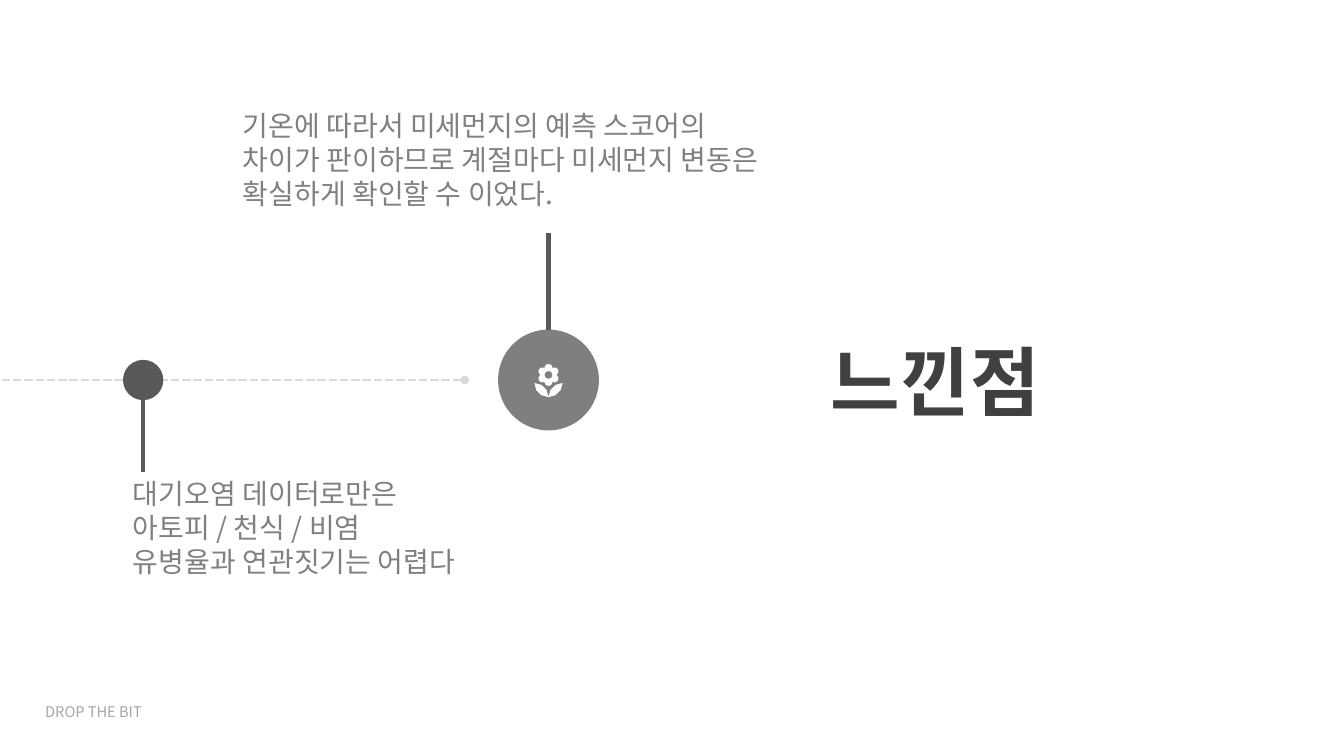
from math import cos, sin, radians
from lxml import etree
from pptx import Presentation
from pptx import util as u
from pptx.dml.color import RGBColor
from pptx.enum import dml, shapes, text
from pptx.oxml import ns

Inches, Pt = u.Inches, u.Pt
COLORS = {"title": "404040", "body": "808080", "footer": "A6A6A6",
          "disc": "7E7F7E", "dark": "585958", "dash": "D9D9D9",
          "icon": "FFFFFF"}
SANS = "Noto Sans CJK KR"
STYLES = {
    "title": {"size": Pt(54), "bold": True, "name": "Lato"},
    "body": {"size": Pt(20), "name": SANS},
    "footer": {"size": Pt(10.5), "name": SANS},
}
PITCH = {"body": Pt(24.3), "footer": Pt(12.75)}


def rgb(key):
    return RGBColor.from_string(COLORS[key])


def add_text(s, box, lines, style, align=text.PP_ALIGN.LEFT):
    tf = s.shapes.add_textbox(*map(Inches, box)).text_frame
    tf.word_wrap = True
    tf.auto_size = text.MSO_AUTO_SIZE.SHAPE_TO_FIT_TEXT
    for i, line in enumerate(lines):
        p = tf.paragraphs[0] if i == 0 else tf.add_paragraph()
        p.alignment = align
        p.line_spacing = PITCH.get(style)
        r = p.add_run()
        r.text = line
        for attr, value in STYLES[style].items():
            setattr(r.font, attr, value)
        r.font.color.rgb = rgb(style)
        # Hangul takes the East Asian typeface
        ea = etree.SubElement(r.font._element, ns.qn("a:ea"))
        ea.set("typeface", STYLES[style]["name"])


def paint(sp, color):
    sp.shadow.inherit = False
    sp.fill.solid()
    sp.fill.fore_color.rgb = rgb(color)
    sp.line.fill.background()


def add_disc(s, cx, cy, size, color):
    box = (cx - size / 2, cy - size / 2, size, size)
    paint(s.shapes.add_shape(shapes.MSO_SHAPE.OVAL, *map(Inches, box)), color)


def add_line(s, start, end, color, width):
    sp = s.shapes.add_connector(shapes.MSO_CONNECTOR.STRAIGHT,
                                *map(Inches, (*start, *end)))
    sp.line.color.rgb = rgb(color)
    sp.line.width = Pt(width)
    etree.SubElement(sp._element.spPr, ns.qn("a:effectLst"))
    return sp


def arc(cx, cy, radius, start, end, steps):
    """Points along an arc, without its last one."""
    angles = [radians(start + (end - start) * i / steps)
              for i in range(steps)]
    return [(Inches(cx + radius * cos(a)), Inches(cy + radius * sin(a)))
            for a in angles]


def add_flower(s, cx, top):
    petal, reach, leaf = 0.04, 0.07, 0.14
    cy = top + petal + reach
    leaf_top = top + 0.19
    # Six petals around an open centre
    bloom = []
    for turn in range(0, 360, 60):
        a = radians(turn - 90)
        bloom += arc(cx + reach * cos(a), cy + reach * sin(a), petal,
                     turn - 180, turn, 4)
    centre = arc(cx, cy, petal, 360, 0, 8)
    # Two leaves, each between a pair of quarter arcs
    left = (arc(cx, leaf_top, leaf, 90, 180, 3)
            + arc(cx - leaf, leaf_top + leaf, leaf, -90, 0, 3))
    right = (arc(cx, leaf_top, leaf, 90, 0, 3)
             + arc(cx + leaf, leaf_top + leaf, leaf, 270, 180, 3))
    fb = s.shapes.build_freeform(*bloom[0])
    fb.add_line_segments(bloom[1:])
    for contour in (centre, left, right):
        fb.move_to(*contour[0])
        fb.add_line_segments(contour[1:])
    paint(fb.convert_to_shape(), "icon")


def add_timeline(s, y, end):
    axis = add_line(s, (end, y), (0, y), "dash", 2)
    axis.line.dash_style = dml.MSO_LINE.SQUARE_DOT
    ln = axis.line._get_or_add_ln()
    etree.SubElement(ln, ns.qn("a:headEnd")).set("type", "oval")


def add_milestone(s, cx, cy, size, color, stem_end, box, lines):
    add_disc(s, cx, cy, size, color)
    edge = cy + size / 2 if stem_end > cy else cy - size / 2
    add_line(s, (cx, edge), (cx, stem_end), "dark", 3)
    add_text(s, box, lines, "body")


def main():
    prs = Presentation()
    prs.slide_width, prs.slide_height = Inches(13.33), Inches(7.5)
    s = prs.slides.add_slide(prs.slide_layouts[6])
    y = 3.77

    # Title
    add_text(s, (5.94, 3.27, 4.47, 1.01), ["느낀점"], "title",
             text.PP_ALIGN.RIGHT)

    # Timeline with its two findings
    add_timeline(s, y, 4.61)
    add_milestone(s, 1.42, y, 0.4, "dark", 4.68, (1.22, 4.67, 3.61, 1.11),
                  ["대기오염 데이터로만은 아토피 / 천식 / 비염",
                   "유병율과 연관짓기는 어렵다"])
    add_milestone(s, 5.44, y, 1, "disc", 2.31, (2.31, 1.02, 5.86, 1.11),
                  ["기온에 따라서 미세먼지의 예측 스코어의",
                   "차이가 판이하므로 계절마다 미세먼지 변동은",
                   "확실하게 확인할 수 이었다."])
    add_flower(s, 5.44, 3.61)

    # Footer
    add_text(s, (0.35, 6.92, 1.59, 0.28), ["DROP THE BIT"], "footer")
    prs.save("out.pptx")


if __name__ == "__main__":
    main()
